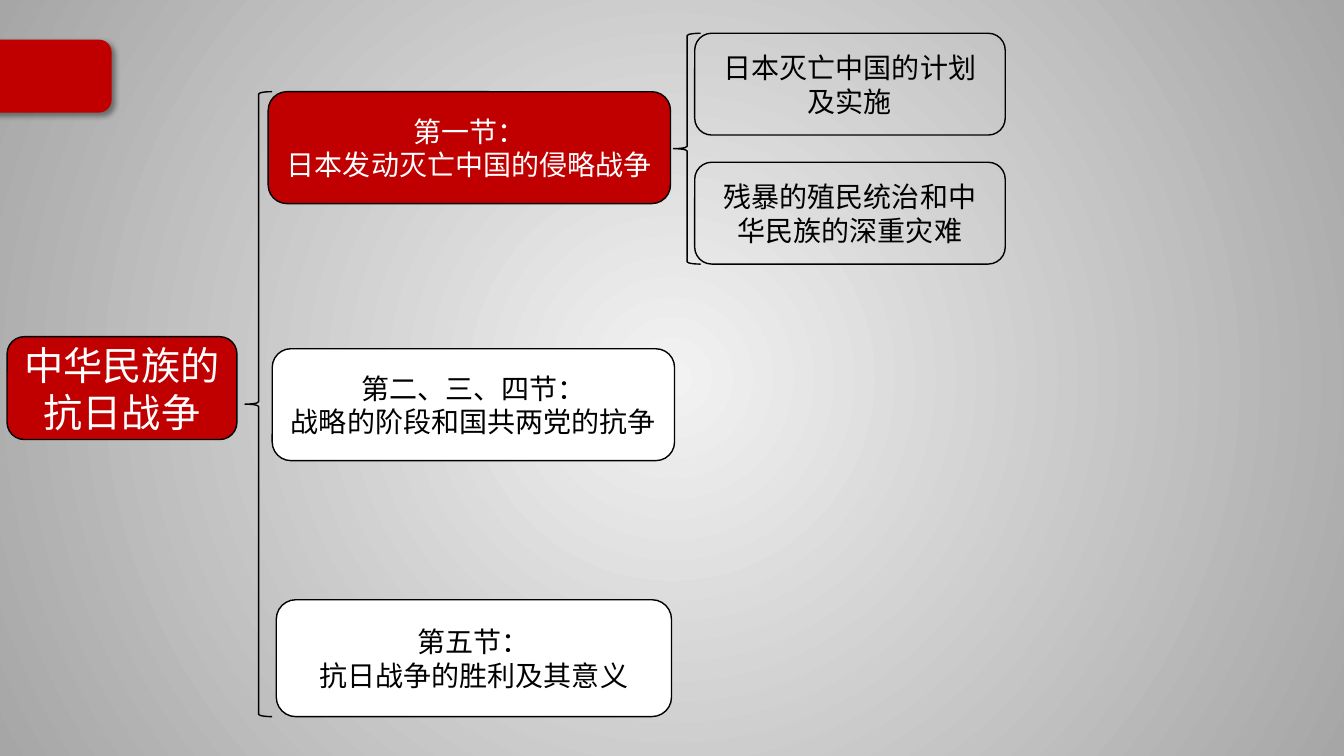
from lxml.etree import SubElement
from pptx import Presentation
from pptx.dml.color import RGBColor
from pptx.enum.shapes import MSO_SHAPE as Preset
from pptx.enum.text import MSO_ANCHOR as Anchor, PP_ALIGN as Align
from pptx.oxml import parse_xml
from pptx.oxml.ns import nsdecls, qn
from pptx.util import Pt

EMU_PER_PX = 9144
RED, BLACK, WHITE = "C00000", "000000", "FFFFFF"
FONT = "Noto Sans CJK SC"

SECTIONS = [
    ((266, 91, 399, 111), ["第一节：", "日本发动灭亡中国的侵略战争"], RED, WHITE),
    ((270, 346, 399, 111), ["第二、三、四节：", "战略的阶段和国共两党的抗争"], WHITE, BLACK),
    ((274, 595, 392, 116), ["第五节：", "抗日战争的胜利及其意义"], WHITE, BLACK),
]
TOPICS = ["日本灭亡中国的计划及实施", "残暴的殖民统治和中华民族的深重灾难"]

BACKGROUND = f"""<p:bg {nsdecls("p", "a")}><p:bgPr><a:gradFill rotWithShape="1">
<a:gsLst><a:gs pos="0"><a:srgbClr val="F2F2F2"/></a:gs>
<a:gs pos="100000"><a:srgbClr val="A6A6A6"/></a:gs></a:gsLst>
<a:path path="circle"><a:fillToRect l="50000" t="50000" r="50000" b="50000"/></a:path>
</a:gradFill><a:effectLst/></p:bgPr></p:bg>"""
SHADOW = f"""<a:effectLst {nsdecls("a")}>
<a:outerShdw blurRad="50800" dist="38100" dir="2700000" algn="tl" rotWithShape="0">
<a:srgbClr val="000000"><a:alpha val="40000"/></a:srgbClr></a:outerShdw></a:effectLst>"""


def px(length):
    """Turn px into EMU."""
    return length * EMU_PER_PX


def color(value):
    """Turn a hex string into a colour."""
    return RGBColor.from_string(value)


def apply(target, values):
    """Set each attribute of the target from a dict."""
    for name, value in values.items():
        setattr(target, name, value)


def add_outline(page, preset, box, fill=None, line=BLACK):
    """Add a preset shape with a thin line and an optional fill."""
    shape = page.shapes.add_shape(preset, *map(px, box))
    shape.shadow.inherit = False
    shape.line.width = Pt(1)
    shape.line.color.rgb = color(line)
    if fill:
        shape.fill.solid()
        shape.fill.fore_color.rgb = color(fill)
    else:
        shape.fill.background()
    return shape


def add_node(page, box, lines, size, fill=None, ink=BLACK, inset=10):
    """Add a rounded box with centred lines of text."""
    frame = add_outline(page, Preset.ROUNDED_RECTANGLE, box, fill).text_frame
    apply(frame, {"word_wrap": True, "vertical_anchor": Anchor.MIDDLE,
                  "margin_left": px(inset), "margin_right": px(inset)})
    for index, line in enumerate(lines):
        para = frame.add_paragraph() if index else frame.paragraphs[0]
        para.alignment = Align.CENTER
        span = para.add_run()
        span.text = line
        apply(span.font, {"size": Pt(size), "name": FONT})
        span.font.color.rgb = color(ink)
        SubElement(span.font._element, qn("a:ea"), typeface=FONT)


def add_tab(page, box):
    """Add the red tab at the left edge with its shadow."""
    tab = add_outline(page, Preset.ROUNDED_RECTANGLE, box, RED, RED)
    properties = tab._element.spPr
    properties.replace(properties.find(qn("a:effectLst")), parse_xml(SHADOW))


def add_chapter(page, box):
    """Add the chapter title, its brace and the section boxes."""
    left, top, width, height = box
    add_node(page, (left, top + 243, 228, 102), ["中华民族的抗日战争"], 28, RED, WHITE)
    add_outline(page, Preset.LEFT_BRACE, (left + 236, top, 27, height))
    for place, lines, fill, ink in SECTIONS:
        add_node(page, place, lines, 20, fill, ink)


def add_topics(page, box):
    """Add a brace and the evenly spaced topics of a section."""
    left, top, width, height = box
    node_height = 101
    step = (height - node_height) // (len(TOPICS) - 1)
    add_outline(page, Preset.LEFT_BRACE, (left, top, 27, height))
    for index, topic in enumerate(TOPICS):
        place = (left + 21, top + index * step, width - 21, node_height)
        add_node(page, place, [topic], 20, inset=14)


def main():
    """Build the chapter outline slide and save it."""
    deck = Presentation()
    apply(deck, {"slide_width": px(1333), "slide_height": px(750)})
    page = deck.slides.add_slide(deck.slide_layouts[6])
    page._element.cSld.insert(0, parse_xml(BACKGROUND))
    add_tab(page, (-18, 40, 128, 71))
    add_chapter(page, (7, 91, 659, 620))
    add_topics(page, (668, 33, 329, 229))
    deck.save("out.pptx")


if __name__ == "__main__":
    main()
